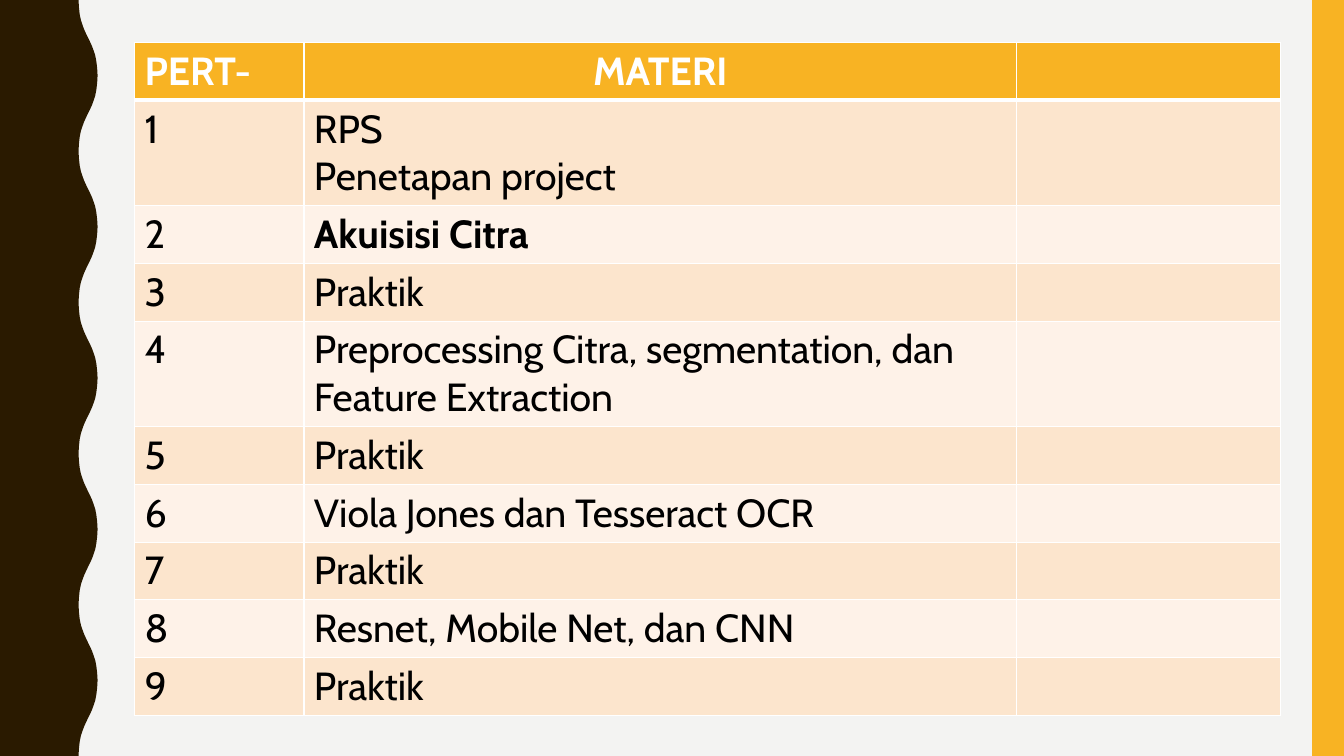
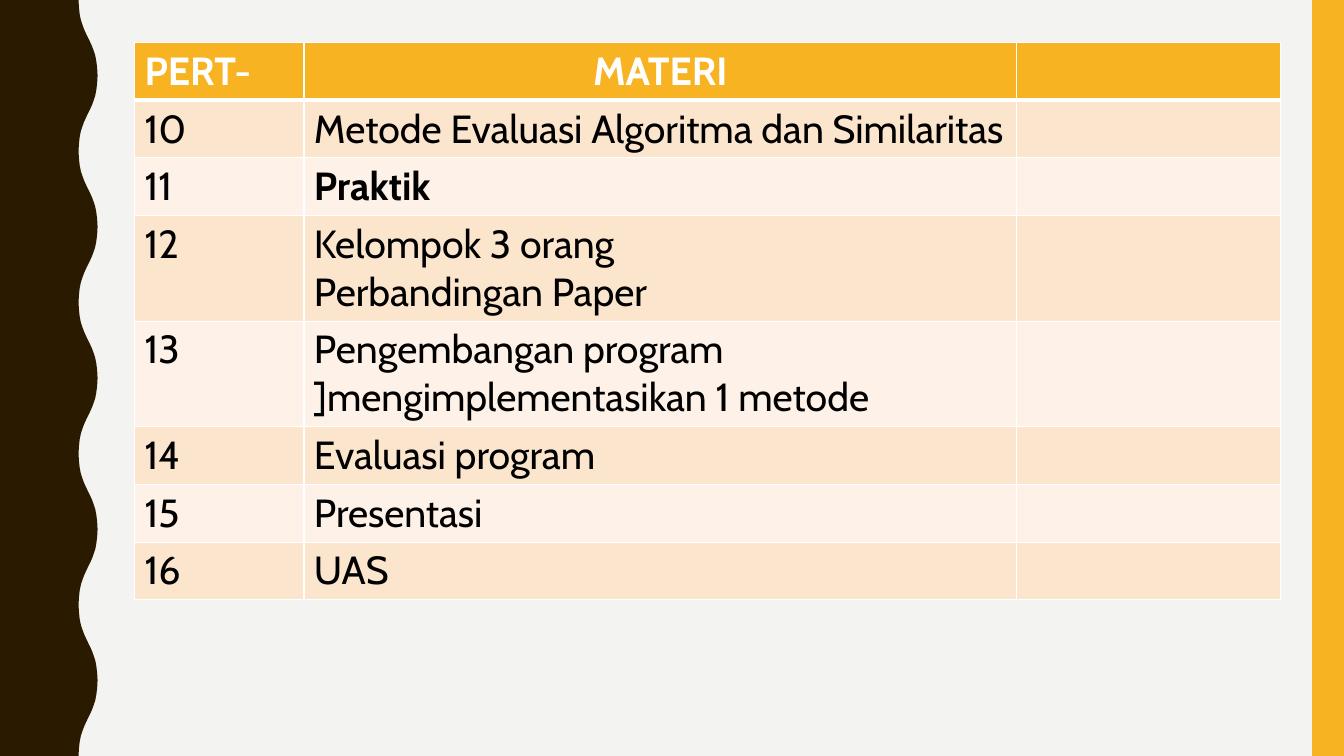
import math

import lxml.etree
import pptx
import pptx.dml.color
import pptx.enum.shapes
import pptx.enum.text
import pptx.oxml.ns
import pptx.util

Cm = pptx.util.Cm
Pt = pptx.util.Pt

COLORS = {
    "paper": "F3F3F2",
    "wave": "2A1A00",
    "accent": "F8B323",
    "band_dark": "FCE5CD",
    "band_light": "FEF2E8",
    "white": "FFFFFF",
    "text": "000000",
}
FONT = "Cabin"
SLIDE_WIDTH, SLIDE_HEIGHT = 33.87, 19.05

HALF_WAVES = 10
WAVE_DEPTH = 0.48
WAVE_QUARTER = [(0, 0), (0.18, 0.01), (0.36, 0.03), (0.51, 0.06),
                (0.63, 0.1), (0.74, 0.14), (0.85, 0.19)]

HEADINGS = ("PERT-", "MATERI")
COLUMN_WIDTHS = (4.27, 17.96, 6.65)
ROW_HEIGHT, EXTRA_LINE = 1.45, 1.21
CHARS_PER_LINE = 45

MEETINGS = [
    (1, [
        "RPS\nPenetapan project",
        "Akuisisi Citra",
        "Praktik",
        "Preprocessing Citra, segmentation, dan Feature Extraction",
        "Praktik",
        "Viola Jones dan Tesseract OCR",
        "Praktik",
        "Resnet, Mobile Net, dan CNN",
        "Praktik",
    ]),
    (10, [
        "Metode Evaluasi Algoritma dan Similaritas",
        "Praktik",
        "Kelompok 3 orang\nPerbandingan Paper",
        "Pengembangan program\n]mengimplementasikan 1 metode",
        "Evaluasi program",
        "Presentasi",
        "UAS",
    ]),
]
BOLD_TOPIC_ROW = 2


def rgb(name):
    """Return the named colour."""
    return pptx.dml.color.RGBColor.from_string(COLORS[name])


def paint(shape, color):
    """Give a shape a plain fill without line or shadow."""
    shape.fill.solid()
    shape.fill.fore_color.rgb = rgb(color)
    shape.line.fill.background()
    shape.shadow.inherit = False


def add_wave(slide, left, top, width, height):
    """Draw the band whose right edge waves within the given box."""
    half = height / HALF_WAVES
    trough = left + width - WAVE_DEPTH
    profile = WAVE_QUARTER + [(half / 2, WAVE_DEPTH / 2)] + [
        (half - y, WAVE_DEPTH - x) for y, x in reversed(WAVE_QUARTER)]
    edge = [(trough + (WAVE_DEPTH - x if index % 2 else x), top + index * half + y)
            for index in range(HALF_WAVES) for y, x in profile]
    outline = edge + [(left, top + height)]
    builder = slide.shapes.build_freeform(Cm(left), Cm(top), scale=1.0)
    builder.add_line_segments([(Cm(x), Cm(y)) for x, y in outline], close=True)
    paint(builder.convert_to_shape(), "wave")


def add_side_bar(slide, left, top, width, height):
    """Draw the accent bar."""
    bar = slide.shapes.add_shape(pptx.enum.shapes.MSO_SHAPE.RECTANGLE,
                                 Cm(left), Cm(top), Cm(width), Cm(height))
    paint(bar, "accent")


def set_borders(cell, top, bottom):
    """Draw white cell borders with the given top and bottom points."""
    qn = pptx.oxml.ns.qn
    properties = cell._tc.get_or_add_tcPr()
    for side, points in (("L", 1), ("R", 1), ("T", top), ("B", bottom)):
        border = lxml.etree.SubElement(properties, qn("a:ln" + side), w=str(Pt(points)))
        fill = lxml.etree.SubElement(border, qn("a:solidFill"))
        lxml.etree.SubElement(fill, qn("a:srgbClr"), val=COLORS["white"])


def fill_cell(cell, text, row, bold, centered):
    """Style one cell according to its row and write its text."""
    is_header = row == 0
    set_borders(cell, 3 if row == 1 else 1, 3 if is_header else 1)
    band = "band_dark" if row % 2 else "band_light"
    cell.fill.solid()
    cell.fill.fore_color.rgb = rgb("accent" if is_header else band)
    if not text:
        return
    cell.text_frame.text = text
    for paragraph in cell.text_frame.paragraphs:
        paragraph.font.name = FONT
        paragraph.font.size = Pt(28)
        paragraph.font.bold = bold
        paragraph.font.color.rgb = rgb("white" if is_header else "text")
        if centered:
            paragraph.alignment = pptx.enum.text.PP_ALIGN.CENTER


def row_height(topic):
    """Return the height a topic needs once its lines are wrapped."""
    lines = sum(math.ceil(len(line) / CHARS_PER_LINE) for line in topic.split("\n"))
    return ROW_HEIGHT + EXTRA_LINE * (lines - 1)


def add_schedule(slide, left, top, first_meeting, topics):
    """Add the table of numbered meetings at the given corner."""
    rows = [HEADINGS] + [(str(number), topic)
                         for number, topic in enumerate(topics, first_meeting)]
    heights = [row_height(topic) for _, topic in rows]
    schedule = slide.shapes.add_table(
        len(rows), len(COLUMN_WIDTHS), Cm(left), Cm(top),
        Cm(sum(COLUMN_WIDTHS)), Cm(sum(heights))).table
    for column, width in zip(schedule.columns, COLUMN_WIDTHS):
        column.width = Cm(width)
    for row, (texts, height) in enumerate(zip(rows, heights)):
        schedule.rows[row].height = Cm(height)
        for column, text in enumerate(texts + ("",)):
            is_topic = column == 1
            bold = row == 0 or (is_topic and row == BOLD_TOPIC_ROW)
            fill_cell(schedule.cell(row, column), text, row, bold,
                      centered=is_topic and row == 0)


def add_schedule_slide(deck, first_meeting, topics):
    """Add a slide with the side bands and one part of the schedule."""
    slide = deck.slides.add_slide(deck.slide_layouts[6])
    add_wave(slide, 0, 0, 2.46, SLIDE_HEIGHT)
    add_side_bar(slide, SLIDE_WIDTH - 0.8, 0, 0.8, SLIDE_HEIGHT)
    add_schedule(slide, 3.39, 1.07, first_meeting, topics)


def main():
    """Build and save the deck."""
    deck = pptx.Presentation()
    deck.slide_width, deck.slide_height = Cm(SLIDE_WIDTH), Cm(SLIDE_HEIGHT)
    background = deck.slide_master.background.fill
    background.solid()
    background.fore_color.rgb = rgb("paper")
    for first_meeting, topics in MEETINGS:
        add_schedule_slide(deck, first_meeting, topics)
    deck.save("out.pptx")


if __name__ == "__main__":
    main()
